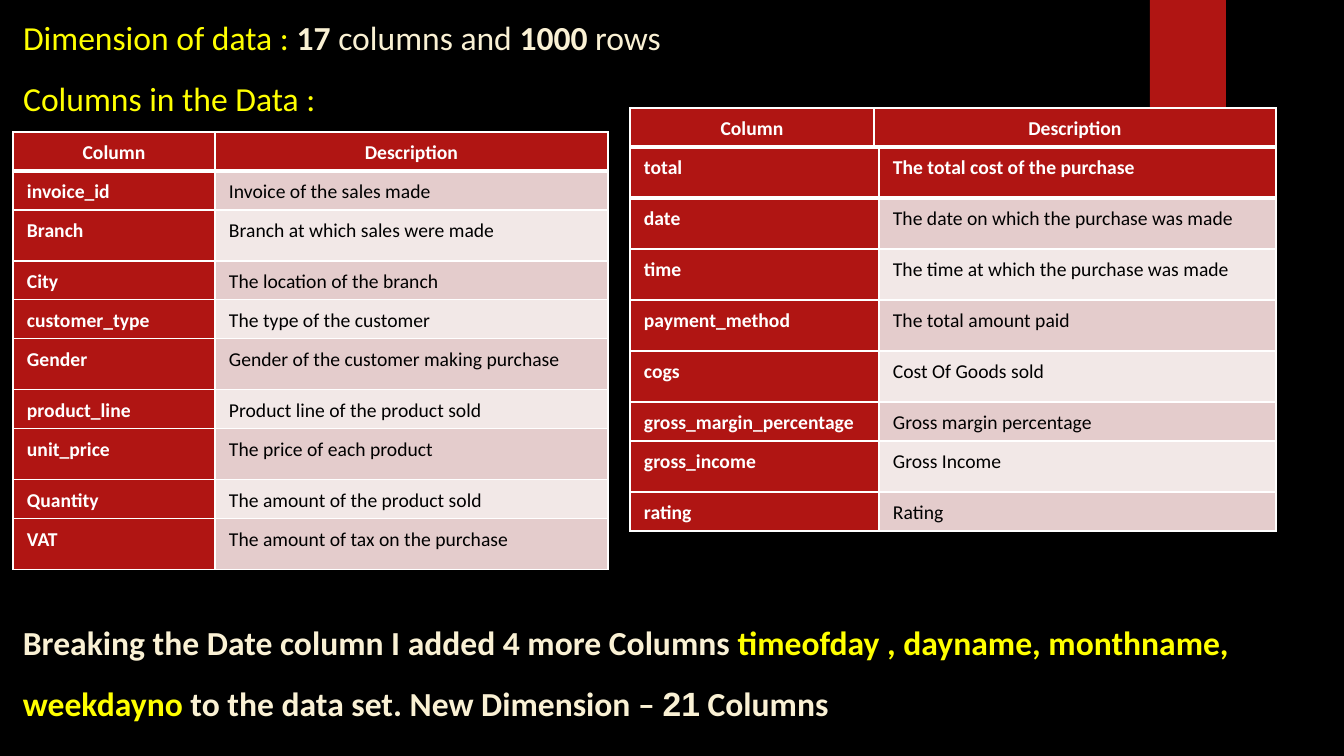
from dataclasses import dataclass

from lxml import etree
from pptx import Presentation, util as u
from pptx.dml.color import RGBColor
from pptx.enum import shapes, text
from pptx.oxml.ns import qn

# Content: runs are (text, color name, bold, font name)
HEADING = [
    [("Dimension of data : ", "yellow", False, "body"), ("17", "cream", True, "body"),
     (" columns and ", "cream", False, "body"), ("1000", "cream", True, "body"),
     (" rows", "cream", False, "body")],
    [("Columns in the Data :", "yellow", False, "body")],
]
NOTE = [
    [("Breaking the Date column I added 4 more Columns ", "cream", True, "body"),
     ("timeofday , dayname, monthname, weekdayno ", "yellow", True, "body"),
     ("to the data set. New Dimension – ", "cream", True, "body"),
     ("21", "cream", True, "digits"), (" Columns", "cream", True, "body")],
]
TITLES = ("Column", "Description")
SHORT, TALL = 39, 51  # row heights in px

# Rows are (column, description, height)
LEFT_ROWS = [
    (*TITLES, SHORT),
    ("invoice_id", "Invoice of the sales made", SHORT),
    ("Branch", "Branch at which sales were made", TALL),
    ("City", "The location of the branch", SHORT),
    ("customer_type", "The type of the customer", SHORT),
    ("Gender", "Gender of the customer making purchase", TALL),
    ("product_line", "Product line of the product sold", SHORT),
    ("unit_price", "The price of each product", TALL),
    ("Quantity", "The amount of the product sold", SHORT),
    ("VAT", "The amount of tax on the purchase", TALL),
]
RIGHT_ROWS = [
    ("total", "The total cost of the purchase", TALL),
    ("date", "The date on which the purchase was made", TALL),
    ("time", "The time at which the purchase was made", TALL),
    ("payment_method", "The total amount paid", TALL),
    ("cogs", "Cost Of Goods sold", TALL),
    ("gross_margin_percentage", "Gross margin percentage", SHORT),
    ("gross_income", "Gross Income", TALL),
    ("rating", "Rating", SHORT),
]
# Tables are (left, top, column widths, rows)
TABLES = [
    (13, 132, (202, 393), LEFT_ROWS),
    (630, 147, (249, 397), RIGHT_ROWS),
    (630, 108, (244, 402), [(*TITLES, SHORT)]),
]


@dataclass(frozen=True)
class Theme:
    background: str = "000000"
    red: str = "B01513"
    cream: str = "FAF1D4"
    yellow: str = "FFFF00"
    white: str = "FFFFFF"
    black: str = "000000"
    bands: tuple = ("F2E8E7", "E4CCCC")
    body: str = "Calibri"
    digits: str = "Arial"
    large: int = 24
    cell: int = 14
    thin: int = 1
    thick: int = 3


THEME = Theme()


def px(length):
    return u.Emu(round(length * 914400 / 100.8))


def color(value):
    return RGBColor.from_string(value)


def place(shape, left, top, width, height):
    shape.left, shape.top, shape.width, shape.height = map(px, (left, top, width, height))


def add_run(paragraph, words, size, fill, bold, font=THEME.body):
    run = paragraph.add_run()
    run.text = words
    run.font.size = u.Pt(size)
    run.font.name = font
    run.font.bold = bold
    run.font.color.rgb = color(fill)


def write_lines(shape, lines):
    frame = shape.text_frame
    frame.word_wrap = True
    frame.auto_size = text.MSO_AUTO_SIZE.NONE
    frame.vertical_anchor = text.MSO_ANCHOR.TOP
    for index, runs in enumerate(lines):
        paragraph = frame.add_paragraph() if index else frame.paragraphs[0]
        paragraph.alignment = text.PP_ALIGN.LEFT
        paragraph.line_spacing = 1.5
        paragraph.space_before = u.Pt(0)
        for words, fill, bold, font in runs:
            add_run(paragraph, words, THEME.large, getattr(THEME, fill), bold, getattr(THEME, font))


def set_borders(cell, top, bottom):
    properties = cell._tc.get_or_add_tcPr()
    sides = (("L", THEME.thin), ("R", THEME.thin), ("T", top), ("B", bottom))
    for index, (side, width) in enumerate(sides):
        line = etree.Element(qn(f"a:ln{side}"), w=str(u.Pt(width)))
        fill = etree.SubElement(line, qn("a:solidFill"))
        etree.SubElement(fill, qn("a:srgbClr"), val=THEME.white)
        properties.insert(index, line)


def fill_cell(cell, words, row, column):
    is_header, is_name = row == 0, column == 0
    strong = is_header or is_name
    cell.fill.solid()
    cell.fill.fore_color.rgb = color(THEME.red if strong else THEME.bands[row % 2])
    cell.margin_left = cell.margin_right = px(14)
    cell.margin_top, cell.margin_bottom = px(7), px(6)
    set_borders(cell, THEME.thick if row == 1 else THEME.thin,
                THEME.thick if is_header else THEME.thin)
    paragraph = cell.text_frame.paragraphs[0]
    paragraph.line_spacing = 1.07
    if words in TITLES:
        paragraph.alignment = text.PP_ALIGN.CENTER
    add_run(paragraph, words, THEME.cell, THEME.white if strong else THEME.black, strong)


def add_data_table(slide, left, top, widths, rows):
    height = sum(row[-1] for row in rows)
    frame = slide.shapes.add_table(len(rows), len(widths), px(left), px(top),
                                   px(sum(widths)), px(height))
    table = frame.table
    for column, width in zip(table.columns, widths):
        column.width = px(width)
    for row, (*words, row_height) in enumerate(rows):
        table.rows[row].height = px(row_height)
        for column, value in enumerate(words):
            fill_cell(table.cell(row, column), value, row, column)


def main():
    presentation = Presentation()
    presentation.slide_width, presentation.slide_height = px(1344), px(756)
    slide = presentation.slides.add_slide(presentation.slide_layouts[5])
    slide.background.fill.solid()
    slide.background.fill.fore_color.rgb = color(THEME.background)

    # Heading
    title = slide.shapes.title
    place(title, 13, -8, 956, 127)
    write_lines(title, HEADING)

    # Red tab at the top edge
    tab = slide.shapes.add_shape(shapes.MSO_SHAPE.RECTANGLE, px(1150), px(0), px(76), px(126))
    tab.shadow.inherit = False
    tab.fill.solid()
    tab.fill.fore_color.rgb = color(THEME.red)
    tab.line.fill.background()

    # Column descriptions
    for left, top, widths, rows in TABLES:
        add_data_table(slide, left, top, widths, rows)

    # Closing note
    note = slide.shapes.add_textbox(px(13), px(597), px(1300), px(127))
    write_lines(note, NOTE)

    presentation.save("out.pptx")


if __name__ == "__main__":
    main()
